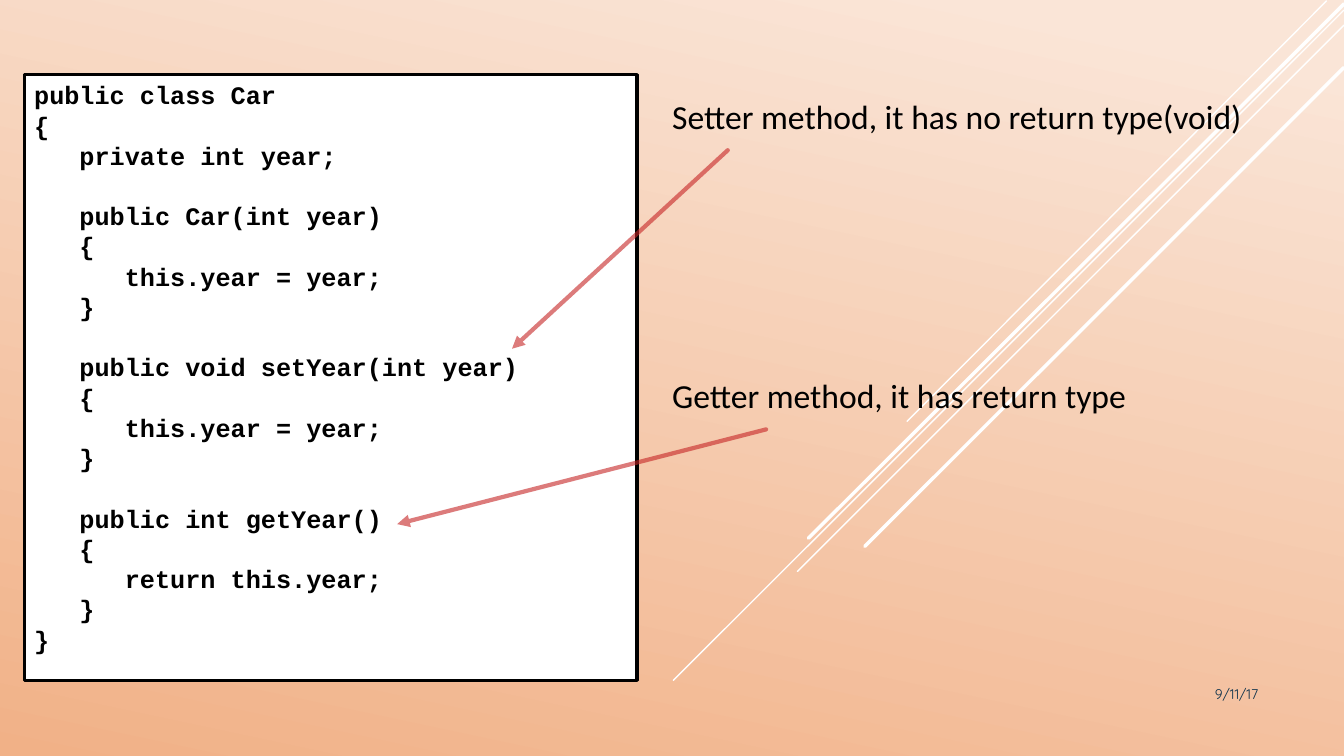
import dataclasses

import lxml.etree
import pptx
import pptx.dml.color
import pptx.enum.shapes
import pptx.enum.text
import pptx.oxml.ns
import pptx.util

WIDTH = pptx.util.Inches(13.333)
HEIGHT = pptx.util.Inches(7.5)
ALIGN = pptx.enum.text.PP_ALIGN

CODE = """public class Car
{
   private int year;

   public Car(int year)
   {
      this.year = year;
   }

   public void setYear(int year)
   {
      this.year = year;
   }

   public int getYear()
   {
      return this.year;
   }
}"""


@dataclasses.dataclass
class Box:
    """Position and size in percent of the slide."""
    left: float
    top: float
    width: float
    height: float

    def emu(self) -> tuple:
        return (across(self.left), down(self.top),
                across(self.width), down(self.height))


@dataclasses.dataclass
class Stroke:
    """End points in percent of the slide, weight in points."""
    x1: float
    y1: float
    x2: float
    y2: float
    weight: float = 1
    color: str = "FFFFFF"
    opacity: int = 100
    arrow: bool = False


@dataclasses.dataclass
class Note:
    text: str
    top: float
    arrow_start: float
    arrow_tip: tuple


NOTE_LEFT, NOTE_WIDTH, NOTE_HEIGHT = 49.28, 46.13, 7.87

RAYS = [
    Stroke(98.7, 0.13, 67.5, 55.73),
    Stroke(100, 1.33, 50.1, 90),
    Stroke(100, 3.33, 59.33, 75.6),
    Stroke(100, 0.53, 60.15, 71.2, 2.5),
    Stroke(100, 8.93, 64.35, 72.27, 2.5),
]

NOTES = [
    Note("Setter method, it has no return type(void)", 12, 54.15, (38.1, 46.13)),
    Note("Getter method, it has return type", 48.93, 57, (29.55, 69.33)),
]


def across(percent: float) -> int:
    return round(WIDTH * percent / 100)


def down(percent: float) -> int:
    return round(HEIGHT * percent / 100)


def rgb(color: str) -> pptx.dml.color.RGBColor:
    return pptx.dml.color.RGBColor.from_string(color)


def add_child(parent, tag: str, **attributes: str):
    return lxml.etree.SubElement(parent, pptx.oxml.ns.qn(tag), attributes)


def set_background(s) -> None:
    fill = s.background.fill
    fill.gradient()
    fill.gradient_angle = 258
    stops = [(0.07, "FAE5D7"), (1, "F1B187")]
    for stop, (position, color) in zip(fill.gradient_stops, stops):
        stop.position = position
        stop.color.rgb = rgb(color)


def draw_stroke(s, stroke: Stroke) -> None:
    sp = s.shapes.add_connector(
        pptx.enum.shapes.MSO_CONNECTOR.STRAIGHT,
        across(stroke.x1), down(stroke.y1), across(stroke.x2), down(stroke.y2))
    sp.line.width = pptx.util.Pt(stroke.weight)
    sp.line.color.rgb = rgb(stroke.color)
    ln = sp.line._get_or_add_ln()
    ln.set("cap", "rnd")
    if stroke.opacity < 100:
        fill_color = ln.find(".//" + pptx.oxml.ns.qn("a:srgbClr"))
        add_child(fill_color, "a:alpha", val=str(stroke.opacity * 1000))
    if stroke.arrow:
        add_child(ln, "a:tailEnd", type="triangle")
    add_child(sp._element.spPr, "a:effectLst")


def write(sp, text: str, font: str, size: float, color: str, align: ALIGN):
    tf = sp.text_frame
    tf.word_wrap = True
    tf.vertical_anchor = pptx.enum.text.MSO_ANCHOR.TOP
    p = tf.paragraphs[0]
    p.text = text
    p.alignment = align
    p.font.name = font
    p.font.size = pptx.util.Pt(size)
    p.font.color.rgb = rgb(color)
    return p


def draw_code(s, box: Box) -> None:
    sp = s.shapes.add_shape(pptx.enum.shapes.MSO_SHAPE.RECTANGLE, *box.emu())
    sp.shadow.inherit = False
    sp.fill.solid()
    sp.fill.fore_color.rgb = rgb("FFFFFF")
    sp.line.color.rgb = rgb("000000")
    sp.line.width = pptx.util.Pt(2.25)
    p = write(sp, CODE, "Courier New", 18, "000000", ALIGN.LEFT)
    p.font.bold = True
    p.line_spacing = pptx.util.Pt(21.6)


def draw_note(s, note: Note) -> None:
    box = Box(NOTE_LEFT, note.top, NOTE_WIDTH, NOTE_HEIGHT)
    sp = s.shapes.add_textbox(*box.emu())
    p = write(sp, note.text, "Calibri", 24, "000000", ALIGN.JUSTIFY)
    p.space_before = pptx.util.Pt(2)
    p.space_after = pptx.util.Pt(6)
    draw_stroke(s, Stroke(note.arrow_start, note.top + NOTE_HEIGHT,
                          *note.arrow_tip, 3, "C62324", 60, True))


def main() -> None:
    prs = pptx.Presentation()
    prs.slide_width, prs.slide_height = WIDTH, HEIGHT
    s = prs.slides.add_slide(prs.slide_layouts[6])
    set_background(s)
    for ray in RAYS:
        draw_stroke(s, ray)
    draw_code(s, Box(1.8, 9.87, 45.6, 80.13))
    date = s.shapes.add_textbox(*Box(81.23, 90, 13.13, 5.33).emu())
    write(date, "9/11/17", "Quicksand", 10, "0A304A", ALIGN.RIGHT)
    for note in NOTES:
        draw_note(s, note)
    prs.save("out.pptx")


if __name__ == "__main__":
    main()
